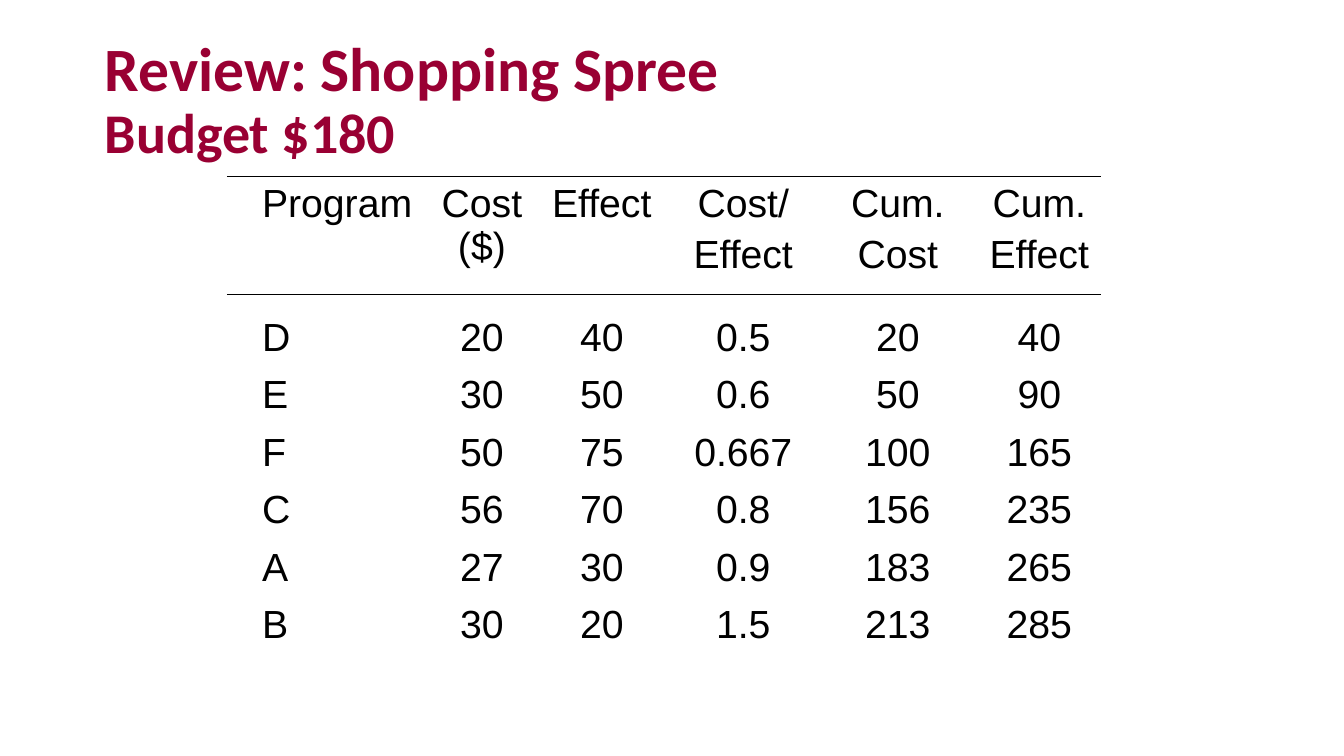
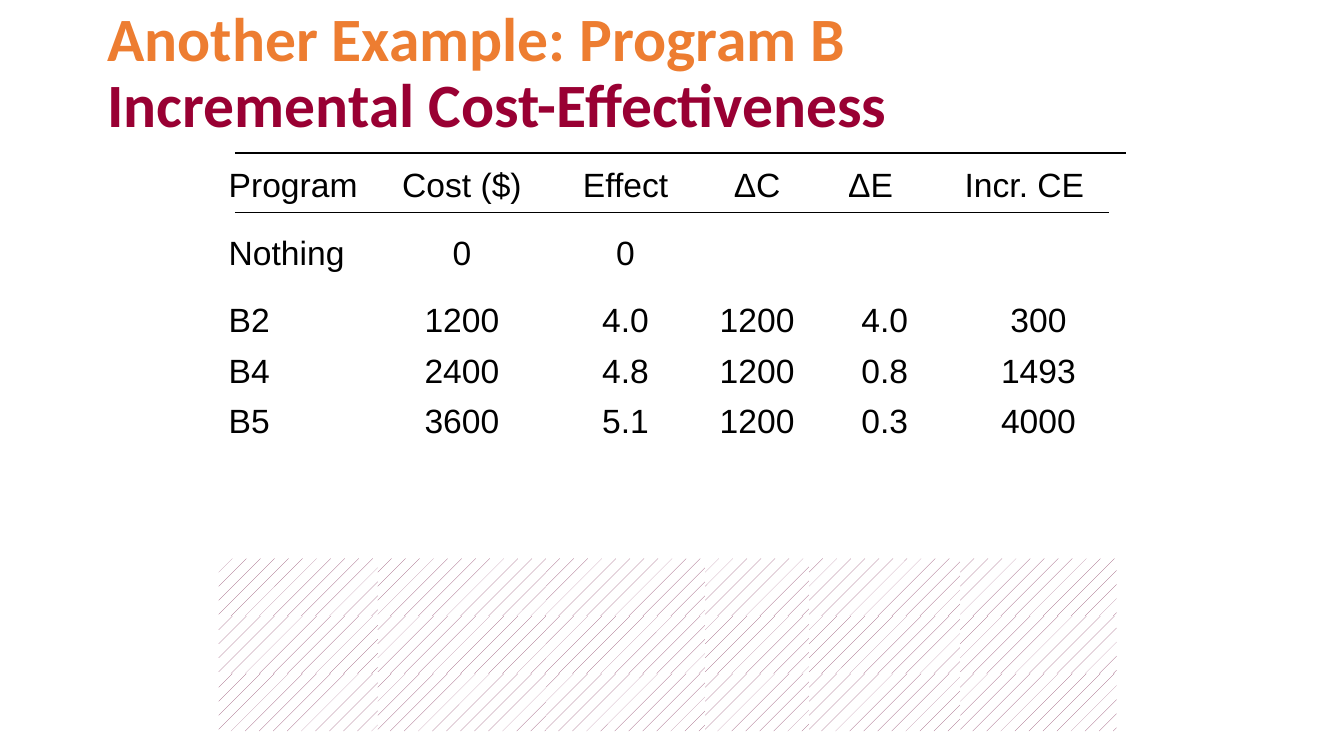
import pptx
import pptx.util
import pptx.dml.color
import pptx.enum.dml
import pptx.enum.shapes
import pptx.enum.text
import pptx.oxml
from pptx.util import Cm, Pt

RGBColor = pptx.dml.color.RGBColor
ALIGN = pptx.enum.text.PP_ALIGN

# Shared look
CRIMSON = RGBColor(0x99, 0x00, 0x33)
ORANGE = RGBColor(0xED, 0x7D, 0x31)
BLACK = RGBColor(0x00, 0x00, 0x00)
WHITE = RGBColor(0xFF, 0xFF, 0xFF)
PLUM = RGBColor(0x95, 0x4F, 0x72)
TITLE_FONT, TABLE_FONT = "Calibri", "Arial"
PLAIN_TABLE_STYLE = "{2D5ABB26-0587-4C30-8999-92F81FD0307C}"

# Content: lengths in cm; a None cell is merged into the one on its left,
# and a newline starts a new paragraph
SLIDES = [
    {
        "title": [("Review: Shopping Spree", 44, CRIMSON), ("Budget $180", 40, CRIMSON)],
        "title_box": (2.39, 0.71, 28.93, 3.73),
        "corner": (6.35, 4.45),
        "columns": [4.45, 2.69, 3.35, 3.78, 4.01, 3.12],
        "row_heights": [3.38] + [1.45] * 6,
        "text_size": 28,
        "rows": [
            ["Program", "Cost ($)", "Effect", "Cost/\nEffect", "Cum.\nCost", "Cum.\nEffect"],
            ["D", "20", "40", "0.5", "20", "40"],
            ["E", "30", "50", "0.6", "50", "90"],
            ["F", "50", "75", "0.667", "100", "165"],
            ["C", "56", "70", "0.8", "156", "235"],
            ["A", "27", "30", "0.9", "183", "265"],
            ["B", "30", "20", "1.5", "213", "285"],
        ],
        "shaded_rows": 0,
        "rules": [(5.72, 27.74, 4.45), (5.72, 27.74, 7.42)],
    },
    {
        "title": [("Another Example: Program B", 44, ORANGE),
                  ("Incremental Cost-Effectiveness", 44, CRIMSON)],
        "title_box": (2.46, 0, 28.85, 3.76),
        "corner": (5.51, 4.09),
        "columns": [4.01, 4.24, 4.01, 2.62, 3.1, 0.71, 3.94],
        "row_heights": [1.7] * 2 + [1.27] * 4 + [1.5] + [1.45] * 3,
        "text_size": 24,
        "rows": [
            ["Program", "Cost ($)", "Effect", "ΔC", "ΔE", "Incr. CE", None],
            ["Nothing", "0", "0", "", "", None, ""],
            ["B2", "1200", "4.0", "1200", "4.0", None, "300"],
            ["B4", "2400", "4.8", "1200", "0.8", None, "1493"],
            ["B5", "3600", "5.1", "1200", "0.3", None, "4000"],
        ] + [["", "", "", "", "", None, ""]] * 5,
        "shaded_rows": 3,
        "rules": [(5.92, 28.37, 3.86), (5.92, 27.94, 5.36)],
    },
]


def add_run(paragraph, text, size, font, color, bold=False):
    run = paragraph.add_run()
    run.text = text
    run.font.size = Pt(size)
    run.font.name = font
    run.font.bold = bold
    run.font.color.rgb = color


def add_title(slide, lines, box):
    frame = slide.shapes.add_textbox(*map(Cm, box)).text_frame
    frame.word_wrap = True
    frame.vertical_anchor = pptx.enum.text.MSO_ANCHOR.MIDDLE
    heading = frame.paragraphs[0]
    heading.line_spacing = 0.9
    for index, (text, size, color) in enumerate(lines):
        if index:
            heading.add_line_break()
        add_run(heading, text, size, TITLE_FONT, color, bold=True)


def fill_cell(cell, text, size, align, shaded):
    if shaded:
        cell.fill.patterned()
        cell.fill.pattern = pptx.enum.dml.MSO_PATTERN.PERCENT_5
        cell.fill.fore_color.rgb = PLUM
        cell.fill.back_color.rgb = WHITE
    else:
        cell.fill.background()
    if not text:
        return
    for index, line in enumerate(text.split("\n")):
        frame = cell.text_frame
        paragraph = frame.add_paragraph() if index else frame.paragraphs[0]
        paragraph.alignment = align
        if index:
            paragraph.space_before = Pt(round(size * 0.2, 1))
        add_run(paragraph, line, size, TABLE_FONT, BLACK)


def add_program_table(slide, content):
    rows, columns, heights = content["rows"], content["columns"], content["row_heights"]
    programs = slide.shapes.add_table(
        len(rows), len(columns), *map(Cm, content["corner"]),
        Cm(sum(columns)), Cm(sum(heights))).table
    programs.first_row = programs.horz_banding = False
    style = programs._tbl.tblPr.find(pptx.oxml.ns.qn("a:tableStyleId"))
    style.text = PLAIN_TABLE_STYLE
    for column, width in zip(programs.columns, columns):
        column.width = Cm(width)
    for row, height in zip(programs.rows, heights):
        row.height = Cm(height)
    first_shaded = len(rows) - content["shaded_rows"]
    for r, values in enumerate(rows):
        for c, text in enumerate(values):
            cell = programs.cell(r, c)
            align = ALIGN.CENTER if c else ALIGN.LEFT
            fill_cell(cell, text, content["text_size"], align, r >= first_shaded)
            if text is None:
                programs.cell(r, c - 1).merge(cell)


def add_rule(slide, left, right, y):
    rule = slide.shapes.add_connector(
        pptx.enum.shapes.MSO_CONNECTOR.STRAIGHT, Cm(left), Cm(y), Cm(right), Cm(y))
    rule.line.color.rgb = BLACK
    rule.line.width = Pt(1)
    rule._element.spPr.append(pptx.oxml.xmlchemy.OxmlElement("a:effectLst"))


def main():
    deck = pptx.Presentation()
    deck.slide_width, deck.slide_height = Cm(33.87), Cm(19.05)
    for content in SLIDES:
        slide = deck.slides.add_slide(deck.slide_layouts[6])
        add_title(slide, content["title"], content["title_box"])
        add_program_table(slide, content)
        for rule in content["rules"]:
            add_rule(slide, *rule)
    deck.save("out.pptx")


if __name__ == "__main__":
    main()
